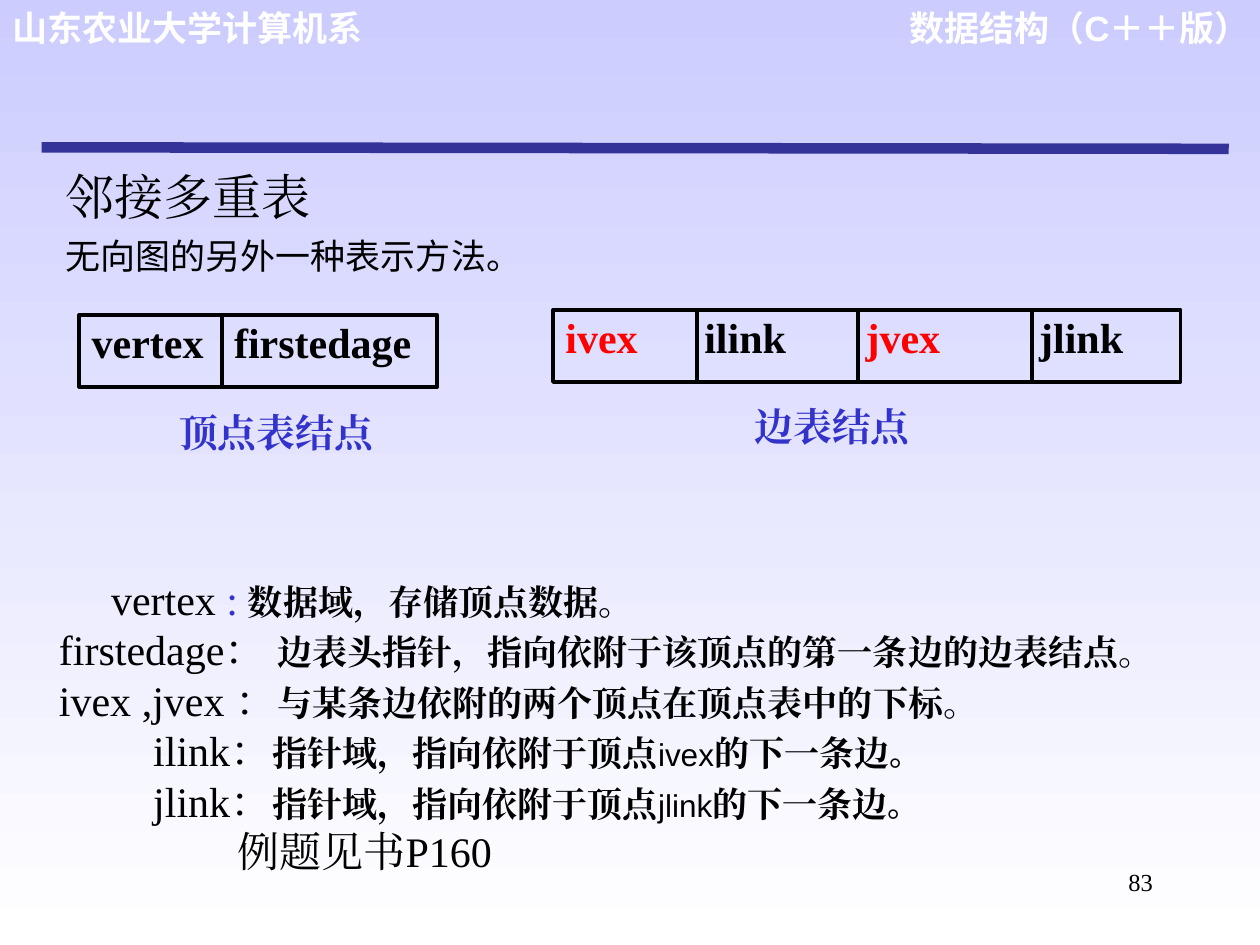
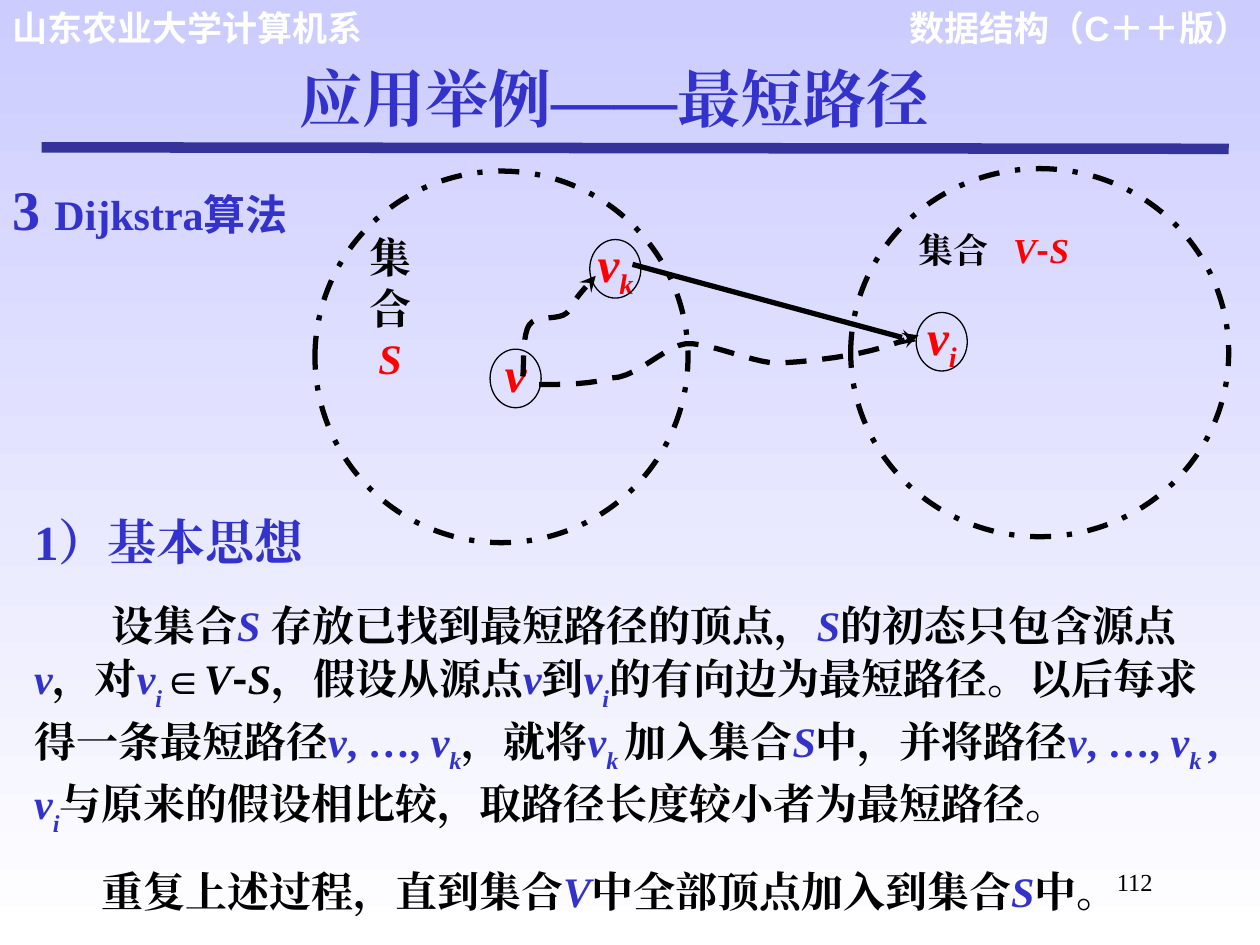
from dataclasses import dataclass, field
from itertools import accumulate
from typing import Any

from lxml.etree import SubElement
from pptx import Presentation
from pptx.dml.color import RGBColor
from pptx.enum.dml import MSO_LINE
from pptx.enum.shapes import MSO_CONNECTOR, MSO_SHAPE
from pptx.enum.text import MSO_ANCHOR, PP_ALIGN
from pptx.oxml import parse_xml
from pptx.oxml.ns import nsdecls, qn
from pptx.util import Cm, Pt

HUE = {"ink": "000000", "blue": "3333CC", "red": "FF0000", "rule": "333399",
       "white": "FFFFFF", "sky": "CCCCFF", "shade": "808080"}
SERIF, SANS, HAN = "Times New Roman", "Arial", "Noto Sans CJK SC"
PAD = (0.25, 0.13, 0.25, 0.13)
SIDES = ("margin_left", "margin_top", "margin_right", "margin_bottom")


@dataclass
class Run:
    text: str
    look: dict[str, Any] = field(default_factory=dict)


@dataclass
class Par:
    runs: list[Run]
    form: dict[str, Any] = field(default_factory=dict)
    indent: float = 0
    tab: float = 0


@dataclass
class Box:
    left: float
    top: float
    width: float
    height: float

    def emu(self) -> list[Cm]:
        return [Cm(n) for n in (self.left, self.top, self.width, self.height)]


@dataclass
class Record:
    left: float
    top: float
    cells: list[tuple[str, float, str, float]]  # name, width, colour, left pad
    label: str
    mark: Box


@dataclass
class Node:
    name: str
    sub: str
    left: float
    top: float


def rgb(name: str) -> RGBColor:
    return RGBColor.from_string(HUE[name])


def apply(item: Any, form: dict[str, Any]) -> None:
    for key, value in form.items():
        setattr(item, key, value)


def style(run: Any, look: dict[str, Any]) -> None:
    font = run.font
    apply(font, {"size": Pt(look["size"]), "name": look["face"],
                 "bold": look.get("bold", False), "italic": look.get("italic", False)})
    font.color.rgb = rgb(look["hue"])
    props = run._r.get_or_add_rPr()
    asian = parse_xml(f'<a:ea {nsdecls("a")} typeface="{look["face"]}"/>')
    props.find(qn("a:latin")).addnext(asian)
    if look.get("base"):
        props.set("baseline", str(look["base"] * 1000))
    if look.get("shadow"):
        props.find(qn("a:solidFill")).addnext(parse_xml(
            f'<a:effectLst {nsdecls("a")}><a:outerShdw dist="35921" dir="2700000">'
            f'<a:srgbClr val="{HUE["shade"]}"/></a:outerShdw></a:effectLst>'))


def write(shape: Any, pars: list[Par], look: dict[str, Any],
          pad: tuple[float, ...] = PAD) -> None:
    frame = shape.text_frame
    apply(frame, {"word_wrap": True, "vertical_anchor": MSO_ANCHOR.TOP})
    apply(frame, {side: Cm(n) for side, n in zip(SIDES, pad)})
    for rank, par in enumerate(pars):
        line = frame.paragraphs[0] if rank == 0 else frame.add_paragraph()
        apply(line, {"alignment": PP_ALIGN.LEFT} | par.form)
        props = line._p.get_or_add_pPr()
        if par.indent:
            props.set("marL", "0")
            props.set("indent", str(Cm(par.indent)))
        if par.tab:
            stops = SubElement(props, qn("a:tabLst"))
            SubElement(stops, qn("a:tab"), pos=str(Cm(par.tab)), algn="l")
        for part in par.runs:
            run = line.add_run()
            run.text = part.text
            style(run, look | part.look)


def text(slide: Any, box: Box, pars: list[Par], look: dict[str, Any],
         pad: tuple[float, ...] = PAD) -> None:
    write(slide.shapes.add_textbox(*box.emu()), pars, look, pad)


def stroke(shape: Any, width: float, hue: str = "ink", dash: Any = None,
           arrow: bool = False) -> None:
    line = shape.line
    line.color.rgb = rgb(hue)
    apply(line, {"width": Pt(width), "dash_style": dash})
    if arrow:
        SubElement(line._get_or_add_ln(), qn("a:tailEnd"), type="stealth")


def outline(slide: Any, kind: Any, box: Box, width: float, dash: Any = None) -> Any:
    shape = slide.shapes.add_shape(kind, *box.emu())
    shape.shadow.inherit = False
    shape.fill.background()
    stroke(shape, width, dash=dash)
    return shape


def link(slide: Any, start: tuple[float, float], end: tuple[float, float],
         width: float, hue: str = "ink", arrow: bool = False) -> None:
    line = slide.shapes.add_connector(
        MSO_CONNECTOR.STRAIGHT, *[Cm(n) for n in start + end])
    stroke(line, width, hue, arrow=arrow)
    SubElement(line._element.spPr, qn("a:effectLst"))


def curve(slide: Any, knots: list[tuple[float, float]], steps: int = 10) -> None:
    """Draw joined cubic curves: a start, then three knots for each piece."""
    dots = []
    for at in range(0, len(knots) - 1, 3):
        for step in range(1, steps + 1):
            t = step / steps
            mix = ((1 - t) ** 3, 3 * t * (1 - t) ** 2, 3 * t * t * (1 - t), t ** 3)
            dots.append(tuple(Cm(sum(m * k[axis] for m, k in zip(mix, knots[at:at + 4])))
                              for axis in (0, 1)))
    pen = slide.shapes.build_freeform(*[Cm(n) for n in knots[0]])
    pen.add_line_segments(dots, close=False)
    shape = pen.convert_to_shape()
    shape.shadow.inherit = False
    shape.fill.background()
    stroke(shape, 3, dash=MSO_LINE.DASH, arrow=True)


# Text looks
INK = {"size": 24, "face": SERIF, "hue": "ink"}
BOLD = INK | {"bold": True}
HEAD = BOLD | {"hue": "blue"}
TOP = {"size": 20, "face": SANS, "hue": "white", "bold": True}
RIGHT = {"alignment": PP_ALIGN.RIGHT}


def var(name: str, sub: str = "") -> list[Run]:
    look = {"hue": "blue", "italic": True}
    return [Run(name, look)] + ([Run(sub, look | {"base": -30})] if sub else [])


def base(deck: Any, number: str) -> Any:
    """Add a slide with its background, header, rule and page number."""
    slide = deck.slides.add_slide(deck.slide_layouts[6])
    fill = slide.background.fill
    fill.gradient()
    fill.gradient_angle = 270
    for stop, hue, spot in zip(fill.gradient_stops, ("sky", "white"), (0, 1)):
        stop.color.rgb = rgb(hue)
        stop.position = spot
    text(slide, Box(17.78, 0, 7.67, 1.96), [Par([Run("数据结构（C＋＋版）")], RIGHT)], TOP)
    text(slide, Box(0, 0, 8.23, 1.12), [Par([Run("山东农业大学计算机系")])], TOP)
    link(slide, (0.84, 2.97), (24.77, 3), 6, "rule")
    text(slide, Box(18.21, 17.35, 5.28, 1.27), [Par([Run(number)], RIGHT)],
         INK | {"size": 14})
    return slide


# Adjacency multilist
RECORDS = [
    Record(1.6, 6.35, [("vertex", 2.87, "ink", 0.25), ("firstedage", 4.34, "ink", 0.25)],
           "顶点表结点", Box(3.61, 8.31, 5.16, 1.04)),
    Record(11.15, 6.25, [("ivex", 2.9, "red", 0.25), ("ilink", 3.25, "ink", 0.15),
                         ("jvex", 3.5, "red", 0.15), ("jlink", 3, "ink", 0.15)],
           "边表结点", Box(15.21, 8.2, 4.17, 1.04)),
]


def record(slide: Any, item: Record) -> None:
    lefts = accumulate([wide for _, wide, _, _ in item.cells], initial=item.left)
    for left, (name, wide, hue, pad) in zip(lefts, item.cells):
        cell = outline(slide, MSO_SHAPE.RECTANGLE, Box(left, item.top, wide, 1.45), 2.25)
        write(cell, [Par([Run(name)])], BOLD | {"hue": hue}, (pad, 0.03, 0, 0.03))
    text(slide, item.mark, [Par([Run(item.label)], {"line_spacing": 0.9})],
         HEAD | {"size": 22.2}, (0, 0.03, 0, 0.03))


def lists(deck: Any) -> None:
    slide = base(deck, "83")
    text(slide, Box(1.07, 3.23, 21.59, 7.14), [
        Par([Run("邻接多重表", {"size": 28})]),
        Par([Run("无向图的另外一种表示方法。", {"size": 20, "face": HAN})],
            {"space_before": Pt(5)})], INK)
    for item in RECORDS:
        record(slide, item)
    # Meaning of each field
    strong, plain = {"size": 20, "bold": True}, {"size": 20}
    small = {"size": 18, "face": SANS}
    notes = [
        Par([Run("vertex"), Run(" :\t", {"hue": "blue"}),
             Run("数据域，存储顶点数据。", strong)], indent=1.05, tab=4.65),
        Par([Run("firstedage： "),
             Run("边表头指针，指向依附于该顶点的第一条边的边表结点", strong),
             Run("。", plain)]),
        Par([Run("ivex ,jvex ："), Run("与某条边依附的两个顶点在顶点表中的下标", strong),
             Run("。", plain)])]
    notes += [
        Par([Run(f"{name}："), Run("指针域，指向依附于顶点", strong), Run(goal, small),
             Run("的下一条边", strong), Run("。", small)], indent=1.9)
        for name, goal in (("ilink", "ivex"), ("jlink", "jlink"))]
    notes.append(Par([Run("例题见书P160")], indent=3.6))
    text(slide, Box(0.94, 11.43, 22.76, 7.37), notes, INK)


# Shortest paths
NODES = [Node("v", "k", 11.89, 4.83), Node("v", "", 9.88, 7.04), Node("v", "i", 18.47, 6.3)]
HOPS = [
    [(10.54, 7.59), (10.57, 7.42), (10.52, 6.78), (10.67, 6.55), (10.82, 6.32),
     (11.33, 6.5), (11.48, 6.25), (11.61, 5.97), (11.91, 5.69), (12.01, 5.56)],
    [(10.87, 7.75), (11.1, 7.75), (11.84, 7.77), (12.32, 7.62), (12.83, 7.62),
     (13.39, 6.99), (13.82, 6.93), (14.25, 6.88), (15.24, 7.34), (15.7, 7.32),
     (16.15, 7.29), (16.21, 7.29), (16.81, 7.21), (17.83, 7.06), (18.16, 6.86),
     (18.52, 6.76)],
]


def node(slide: Any, item: Node) -> None:
    look = BOLD | {"size": 28, "hue": "red", "italic": True}
    runs = [Run(item.name)] + ([Run(item.sub, {"base": -25})] if item.sub else [])
    text(slide, Box(item.left + 0.09, item.top - 0.12, 0.86, 1.42),
         [Par(runs, {"alignment": PP_ALIGN.CENTER})], look, (0, 0, 0, 0))
    outline(slide, MSO_SHAPE.OVAL, Box(item.left, item.top, 1.03, 1.18), 0.75)


def paths(deck: Any) -> None:
    slide = base(deck, "112")
    # Basic idea
    form = {"line_spacing": 1.05, "space_before": Pt(15)}
    slant = {"italic": True}
    dots = Run(", …, ", {"hue": "blue"})
    idea = [
        Run("设集合"), *var("S "), Run("存放已找到最短路径的顶点，"), *var("S"),
        Run("的初态只包含源点"), *var("v"), Run("，对"), *var("v", "i"), Run("∈"),
        Run("V", slant), Run("-", {"face": HAN}), Run("S", slant),
        Run("，假设从源点"), *var("v"), Run("到"), *var("v", "i"),
        Run("的有向边为最短路径。以后每求得一条最短路径"), *var("v"), dots,
        *var("v", "k"), Run("，就将"), *var("v", "k "), Run("加入集合"), *var("S"),
        Run("中，并将路径"), *var("v"), dots, *var("v", "k "),
        Run(", ", {"hue": "blue"}), *var("v", "i"),
        Run("与原来的假设相比较，取路径长度较小者为最短路径。")]
    again = [Run("重复上述过程，直到集合"), *var("V"), Run("中全部顶点加入到集合"),
             *var("S"), Run("中。")]
    text(slide, Box(0.69, 10.19, 24.03, 8.59), [
        Par([Run("1）基本思想", {"size": 28, "hue": "blue"})]),
        Par(idea, form, indent=1.55), Par(again, form, indent=1.35)],
        BOLD, (0, 0.13, 0, 0.13))
    # Headings
    text(slide, Box(0, 3.38, 12.9, 1.63), [
        Par([Run("3 ", {"size": 32}), Run("Dijkstra"), Run("算法", {"face": HAN})])], HEAD)
    text(slide, Box(5.79, 1.07, 14.73, 1.78), [Par([Run("应用举例——最短路径")])],
         HEAD | {"size": 36, "shadow": True})
    # Vertex sets
    red = {"hue": "red", "italic": True}
    rest = outline(slide, MSO_SHAPE.OVAL, Box(17.15, 3.4, 7.62, 7.42), 3, MSO_LINE.DASH_DOT)
    write(rest, [Par([Run("集合\t"), Run("V", red), Run("-", {"hue": "red", "face": HAN}),
                      Run("S", red)], tab=1.91)], BOLD | {"size": 20})
    done = outline(slide, MSO_SHAPE.OVAL, Box(6.35, 3.45, 7.52, 7.49), 3, MSO_LINE.DASH_DOT)
    write(done, [Par([Run("集")]), Par([Run("合")]), Par([Run("S", red)], indent=0.18)],
          BOLD, (0, 0.13, 0.25, 0.13))
    # Vertices and routes
    for item in NODES:
        node(slide, item)
    curve(slide, HOPS[0])
    link(slide, (12.75, 5.33), (18.47, 6.88), 3, arrow=True)
    curve(slide, HOPS[1])


def main() -> None:
    deck = Presentation()
    apply(deck, {"slide_width": Cm(25.4), "slide_height": Cm(19.05)})
    lists(deck)
    paths(deck)
    deck.save("out.pptx")


if __name__ == "__main__":
    main()
